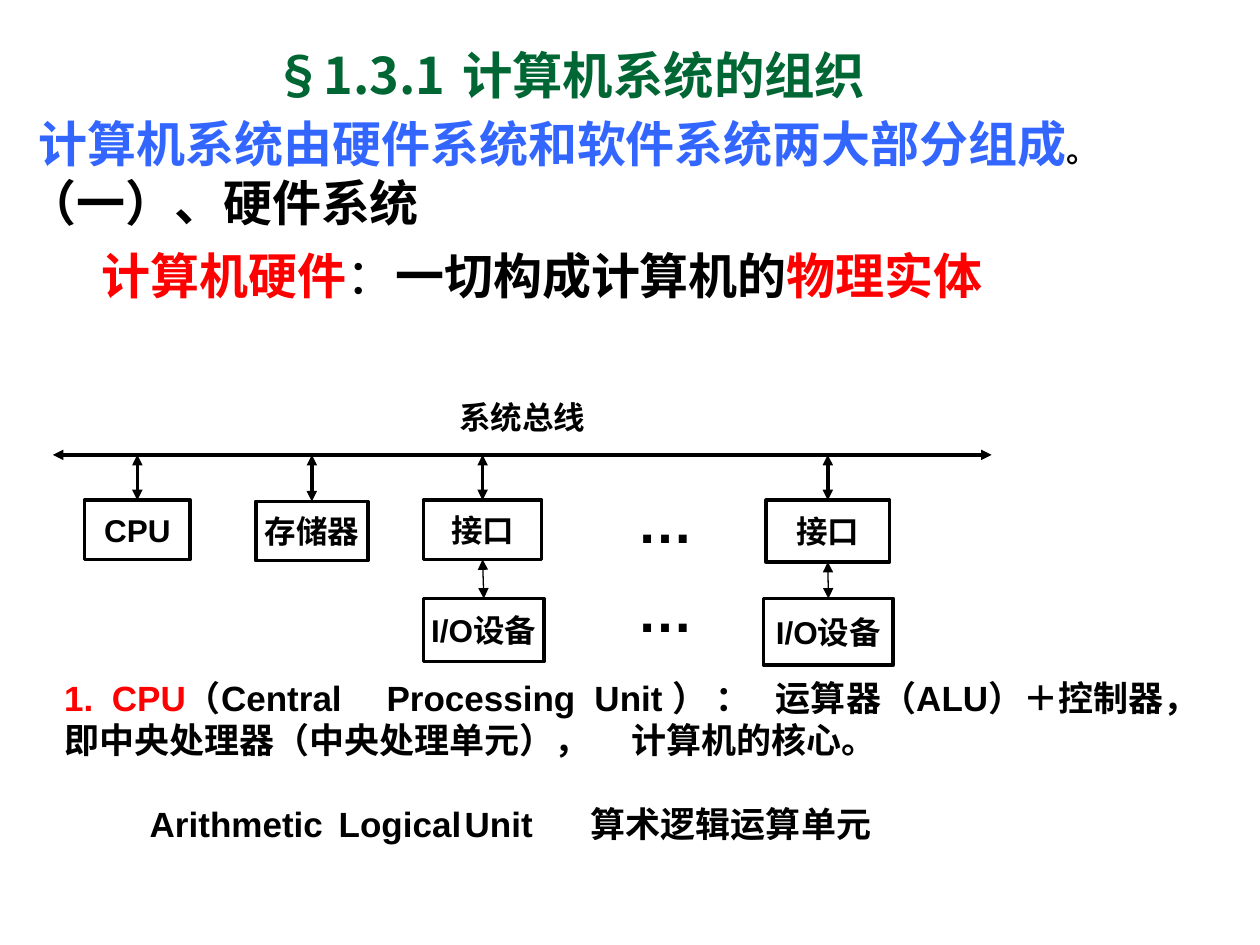
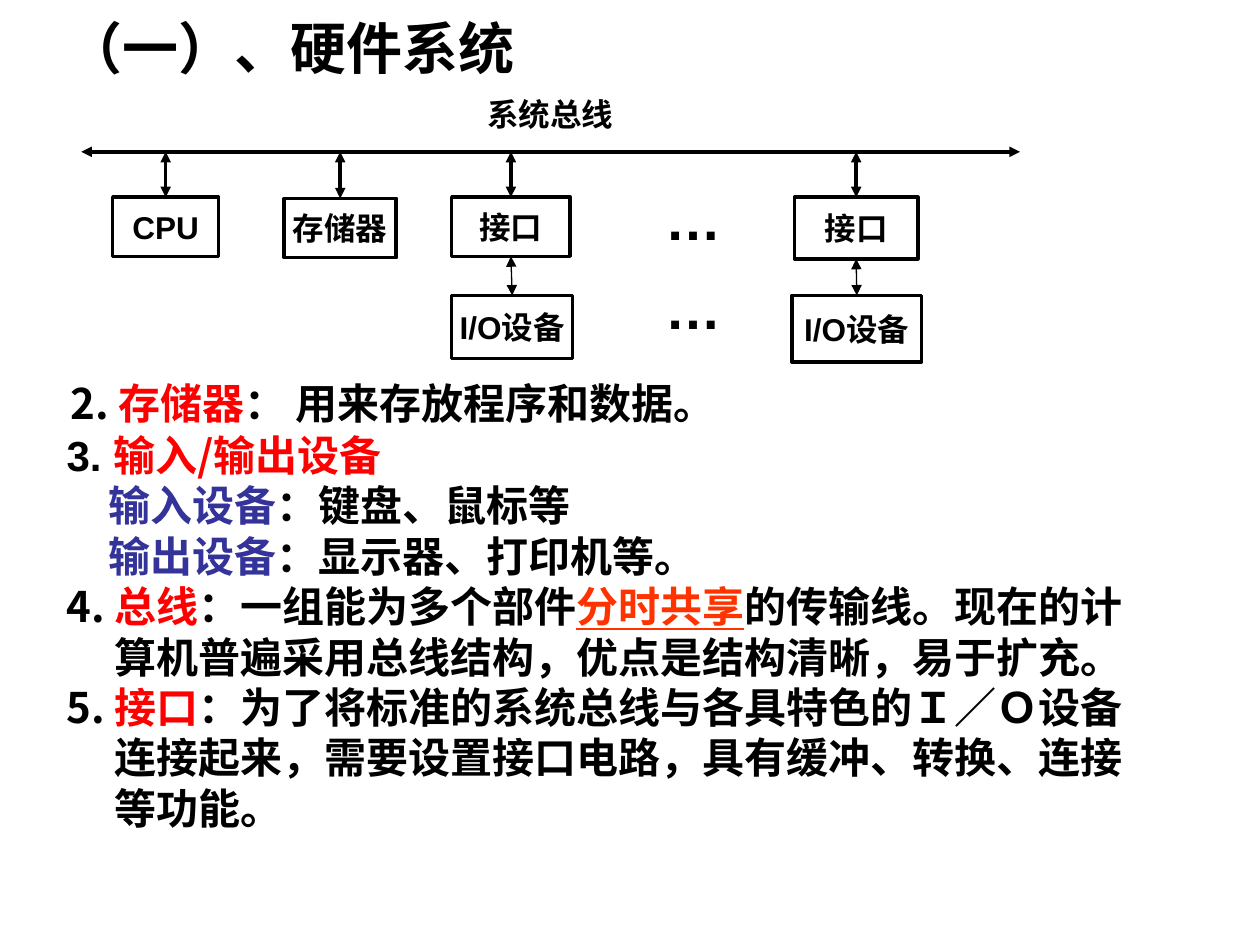
from dataclasses import dataclass

from lxml import etree
from pptx import Presentation
from pptx.dml.color import RGBColor
from pptx.enum.shapes import MSO_CONNECTOR, MSO_SHAPE
from pptx.enum.text import MSO_ANCHOR, PP_ALIGN
from pptx.oxml.ns import qn
from pptx.util import Inches, Pt

RECTANGLE = MSO_SHAPE.RECTANGLE
STRAIGHT = MSO_CONNECTOR.STRAIGHT
TOP, MIDDLE = MSO_ANCHOR.TOP, MSO_ANCHOR.MIDDLE
LEFT, CENTER = PP_ALIGN.LEFT, PP_ALIGN.CENTER
TOP_SIDE, BOTTOM_SIDE = 0, 2

# The slide is a grid of 100 columns by 75 rows
WIDTH, HEIGHT = Inches(10), Inches(7.5)
COLUMN, ROW = WIDTH / 100, HEIGHT / 75


@dataclass(frozen=True)
class Theme:
    latin: str = "Arial"
    chinese: str = "Noto Sans CJK SC"
    ink: str = "000000"
    paper: str = "FFFFFF"
    title: str = "006633"
    lead: str = "3366FF"
    key: str = "FF0000"
    device: str = "333399"
    shared: str = "FF3300"
    title_size: float = 28.8
    section_size: float = 32
    lead_size: float = 28
    list_size: float = 24
    note_size: float = 20
    label_size: float = 18
    dots_size: float = 32
    thick: float = 2
    thin: float = 0.75


THEME = Theme()


def x(columns):
    return round(columns * COLUMN)


def y(rows):
    return round(rows * ROW)


def area(left, top, width, height):
    return x(left), y(top), x(width), y(height)


def run(text, color=THEME.ink, **style):
    """One stretch of text with what differs from its block."""
    return text, {"color": color, **style}


def format_run(piece, size, font=THEME.chinese, color=THEME.ink, bold=True, underline=False):
    piece.font.size, piece.font.bold = Pt(size), bold
    piece.font.color.rgb = RGBColor.from_string(color)
    piece.font.name = font
    if underline:
        piece.font.underline = True
    latin = piece.font._element.find(qn("a:latin"))
    east_asian = etree.Element(qn("a:ea"), typeface=THEME.chinese)
    latin.addnext(east_asian)


def format_paragraph(paragraph, margin=0, hanging=0, before=0, spacing=None,
                     tabs=(), numbered=False, align=LEFT):
    paragraph.alignment = align
    paragraph.space_before = Pt(before)
    if spacing:
        paragraph.line_spacing = spacing
    properties = paragraph._p.get_or_add_pPr()
    properties.set("marL", str(x(margin)))
    properties.set("indent", str(-x(hanging)))
    if numbered:
        etree.SubElement(properties, qn("a:buFont"), typeface=THEME.latin)
        etree.SubElement(properties, qn("a:buAutoNum"), type="arabicPeriod")
    if tabs:
        stops = etree.SubElement(properties, qn("a:tabLst"))
        for stop in tabs:
            etree.SubElement(stops, qn("a:tab"), pos=str(x(stop)), algn="l")


def write(shape, paragraphs, size, font=THEME.chinese, anchor=TOP, wrap=True):
    """Fill a shape with (runs, paragraph format) pairs."""
    frame = shape.text_frame
    frame.word_wrap, frame.vertical_anchor = wrap, anchor
    for number, (runs, layout) in enumerate(paragraphs):
        paragraph = frame.add_paragraph() if number else frame.paragraphs[0]
        format_paragraph(paragraph, **layout)
        for text, style in runs:
            piece = paragraph.add_run()
            piece.text = text
            format_run(piece, **{"size": size, "font": font, **style})


def add_text(shapes, place, paragraphs, size, **style):
    write(shapes.add_textbox(*area(*place)), paragraphs, size, **style)


def add_box(shapes, label, place):
    box = shapes.add_shape(RECTANGLE, *area(*place))
    box.shadow.inherit = False
    box.fill.solid()
    box.fill.fore_color.rgb = RGBColor.from_string(THEME.paper)
    box.line.color.rgb = RGBColor.from_string(THEME.ink)
    box.line.width = Pt(THEME.thick)
    write(box, [([run(label)], {"align": CENTER})], THEME.label_size,
          font=THEME.latin, anchor=MIDDLE, wrap=False)
    return box


def add_double_arrow(shapes, start, end, weight):
    arrow = shapes.add_connector(STRAIGHT, *start, *end)
    arrow.line.color.rgb = RGBColor.from_string(THEME.ink)
    arrow.line.width = Pt(weight)
    line = arrow.line._get_or_add_ln()
    for tip in ("a:headEnd", "a:tailEnd"):
        etree.SubElement(line, qn(tip), type="triangle")
    etree.SubElement(arrow._element.spPr, qn("a:effectLst"))
    return arrow


def add_bus_diagram(slide, left, top):
    """System bus with its parts; left and top mark the bus's left end."""
    add_text(slide.shapes, (left + 31.25, top - 4.4, 14, 3.9),
             [([run("系统总线")], {"before": 3.6, "spacing": 0.8})],
             THEME.label_size, font=THEME.latin)

    shapes = slide.shapes.add_group_shape().shapes
    add_double_arrow(shapes, (x(left), y(top)), (x(left + 74.5), y(top)), THEME.thick)

    # Parts hanging from the bus: label, offset, drop, width, height
    parts = [
        ("CPU", 2.5, 3.6, 8.4, 4.7),
        ("存储器", 16.1, 3.7, 8.9, 4.7),
        ("接口", 29.4, 3.6, 9.4, 4.7),
        ("接口", 56.6, 3.6, 9.8, 4.9),
    ]
    boxes = []
    for label, offset, drop, width, height in parts:
        box = add_box(shapes, label, (left + offset, top + drop, width, height))
        middle = box.left + box.width // 2
        arrow = add_double_arrow(shapes, (middle, y(top)), (middle, box.top), THEME.thick)
        arrow.end_connect(box, TOP_SIDE)
        boxes.append(box)

    # Devices under the two interfaces
    for interface, offset, width, height in zip(boxes[2:], (29.4, 56.4), (9.6, 10.3), (5, 5.3)):
        device = add_box(shapes, "I/O设备", (left + offset, top + 11.4, width, height))
        arrow = add_double_arrow(shapes, (interface.left, interface.top),
                                 (device.left, device.top), THEME.thin)
        arrow.begin_connect(interface, BOTTOM_SIDE)
        arrow.end_connect(device, TOP_SIDE)

    for drop in (2.1, 9.2):
        add_text(shapes, (left + 45.4, top + drop, 5.5, 6.3), [([run("…")], {})],
                 THEME.dots_size, font=THEME.latin)


def build_organization(slide):
    # Title and opening statement
    add_text(slide.shapes, (20.7, 2.4, 70, 7),
             [([run("§1.3.1\t计算机系统的组织", THEME.title)], {"tabs": [17.4]})],
             THEME.title_size, anchor=MIDDLE)
    add_text(slide.shapes, (1.2, 8.5, 89.4, 10.4), [
        ([run("计算机系统由硬件系统和软件系统两大部分组成", THEME.lead),
          run("。", size=THEME.label_size)], {"margin": 0.9}),
        ([run("（一）、硬件系统")], {}),
    ], THEME.lead_size)
    add_text(slide.shapes, (7.1, 19, 75, 5.7), [
        ([run("计算机硬件", THEME.key), run("：", bold=False),
          run("一切构成计算机的"), run("物理实体", THEME.key)], {}),
    ], THEME.lead_size, font=THEME.latin)

    add_bus_diagram(slide, 4.2, 36.1)

    # What the CPU is
    add_text(slide.shapes, (4.1, 53.2, 92.1, 17.5), [
        ([run("CPU", THEME.key),
          run("（Central\tProcessing\tUnit ） ：\t运算器（ALU）＋控制器，")],
         {"margin": 3.8, "hanging": 3.8, "numbered": True, "tabs": [25.6, 42.1, 56.5]}),
        ([run("即中央处理器（中央处理单元），\t计算机的核心。")], {"tabs": [43]}),
        ([run("Arithmetic\tLogical\tUnit\t算术逻辑运算单元")],
         {"margin": 6.8, "before": 24, "tabs": [22.9, 34.9, 44.2]}),
    ], THEME.note_size, font=THEME.latin)


def build_hardware(slide):
    add_text(slide.shapes, (4.3, 0.6, 50, 6.4), [([run("（一）、硬件系统")], {})],
             THEME.section_size)
    add_bus_diagram(slide, 6.45, 12.05)

    # Numbered parts of the hardware
    item = {"margin": 3.8, "hanging": 3.8}
    detail = {"margin": 3.35}
    add_text(slide.shapes, (4.6, 29.5, 74, 4.1), [
        ([run("2. "), run("存储器", THEME.key), run("： 用来存放程序和数据。")],
         {**item, "before": 4.8}),
    ], THEME.list_size)
    add_text(slide.shapes, (4.3, 33.6, 87.4, 36.4), [
        ([run("3. ", font=THEME.latin), run("输入/输出设备", THEME.key)], item),
        ([run("输入设备", THEME.device), run("：键盘、鼠标等")], detail),
        ([run("输出设备", THEME.device), run("：显示器、打印机等。")], detail),
        ([run("4. "), run("总线", THEME.key), run("：一组能为多个部件"),
          run("分时共享", THEME.shared, underline=True),
          run("的传输线。现在的计算机普遍采用总线结构，优点是结构清晰，易于扩充。")], item),
        ([run("5. "), run("接口", THEME.key),
          run("：为了将标准的系统总线与各具特色的Ｉ／Ｏ设备连接起来，"
              "需要设置接口电路，具有缓冲、转换、连接等功能。")], item),
    ], THEME.list_size)


def main():
    deck = Presentation()
    deck.slide_width, deck.slide_height = WIDTH, HEIGHT
    blank = deck.slide_layouts[6]
    for build in (build_organization, build_hardware):
        build(deck.slides.add_slide(blank))
    deck.save("out.pptx")


if __name__ == "__main__":
    main()
